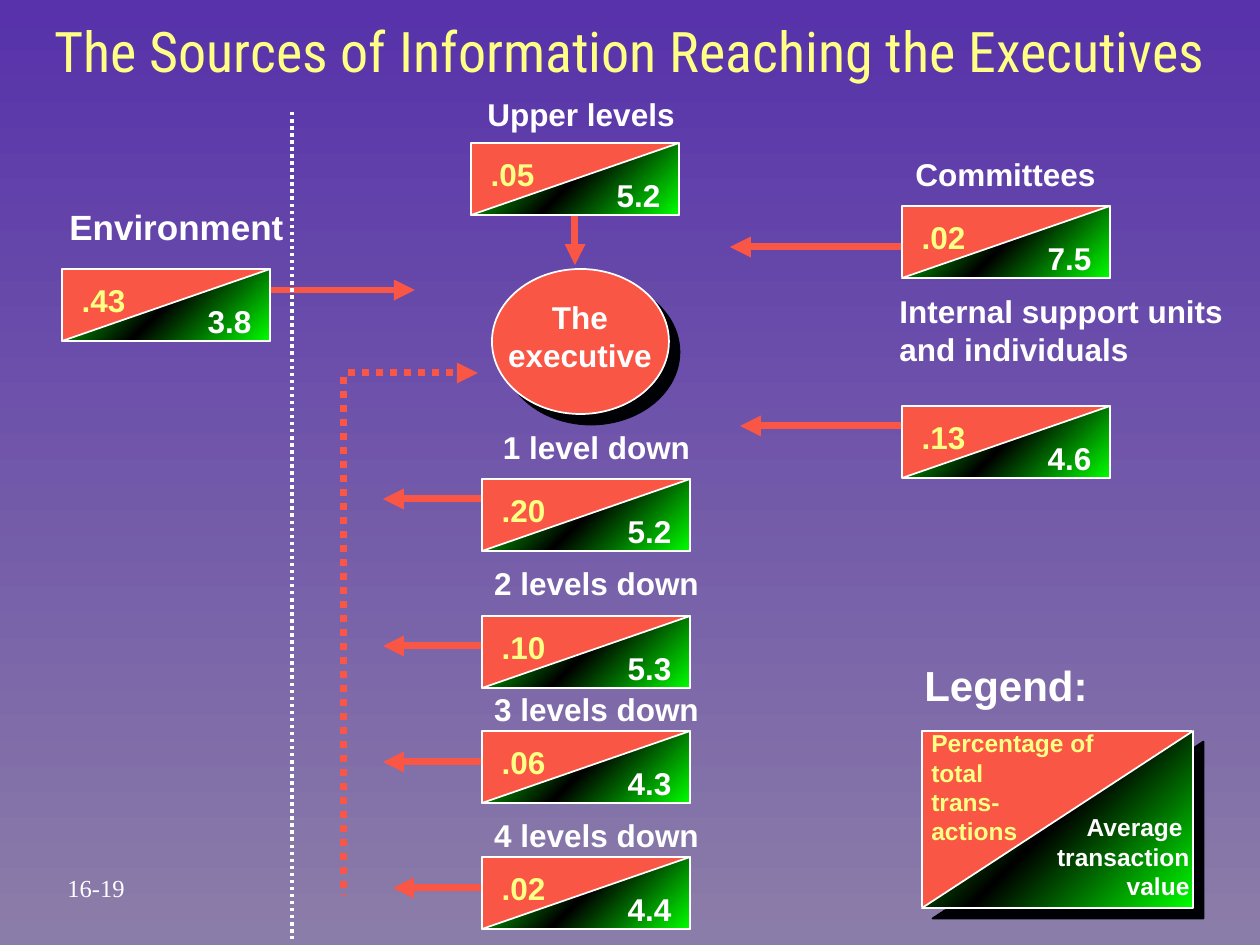
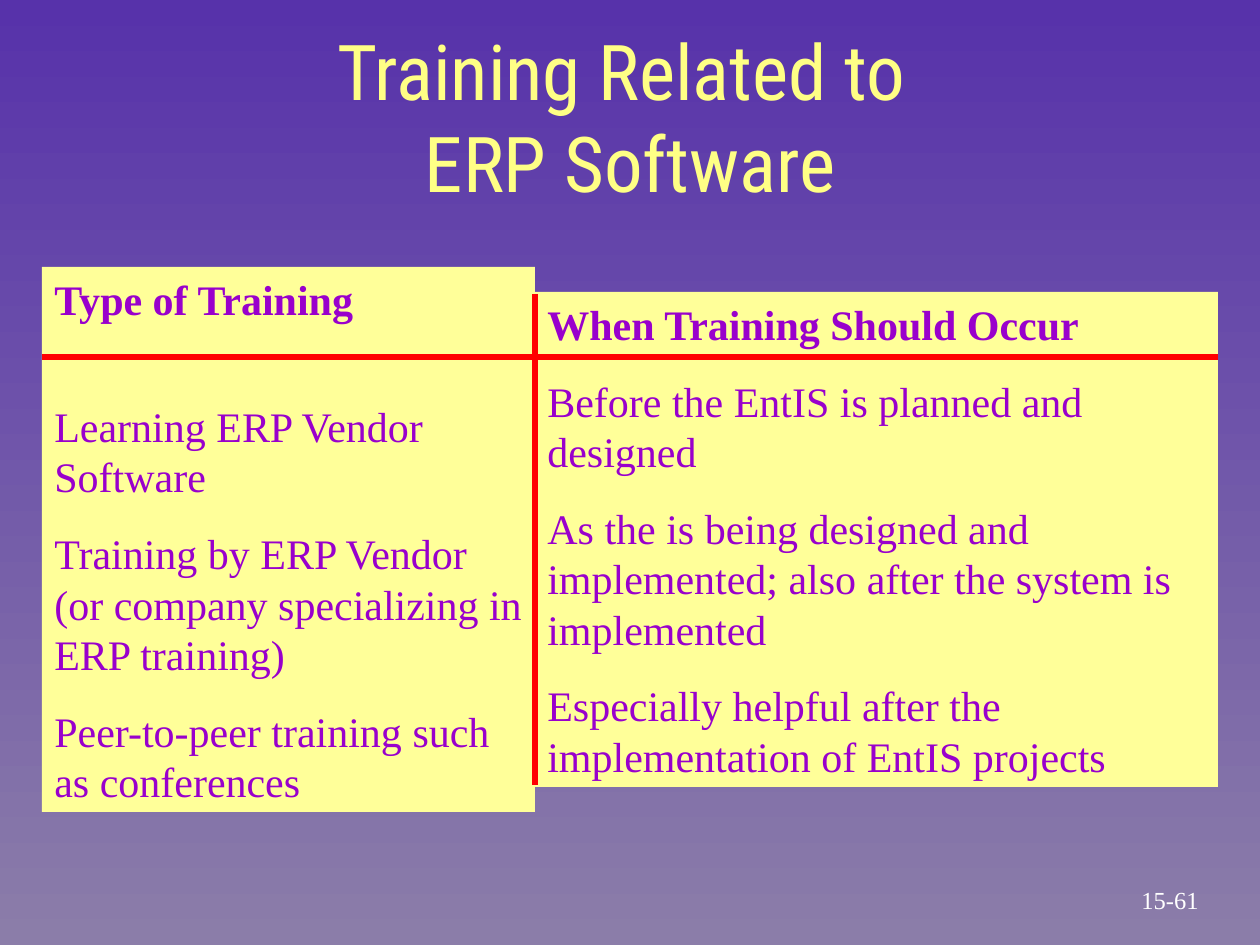
from copy import deepcopy
from dataclasses import dataclass
from typing import NamedTuple

from lxml.etree import SubElement
from pptx import Presentation
from pptx.dml.color import RGBColor
from pptx.enum.dml import MSO_LINE
from pptx.enum.shapes import MSO_CONNECTOR, MSO_SHAPE
from pptx.enum.text import MSO_ANCHOR, MSO_AUTO_SIZE, PP_ALIGN
from pptx.oxml.ns import qn
from pptx.util import Emu, Pt

PX = 914400 / 126


@dataclass(frozen=True)
class Theme:
    backdrop: tuple = ("5732AA", "8B7DA9")
    split_gradient: tuple = ("00FF00", "000000", "00FF00")
    coral: str = "F95645"
    yellow: str = "FFFF85"
    white: str = "FFFFFF"
    shadow: str = "000105"
    panel: str = "FFFF99"
    purple: str = "9900CC"
    red: str = "FF0000"
    title_font: str = "Roboto Condensed"
    label_font: str = "Arial"
    body_font: str = "Times New Roman"
    wide_title: int = 32
    title: int = 44
    body: int = 24
    environment: int = 20
    label: int = 18
    small: int = 14


THEME = Theme()


class Box(NamedTuple):
    x: int
    y: int
    w: int
    h: int


class Label(NamedTuple):
    text: str
    box: Box
    size: int = THEME.label
    color: str = THEME.white
    align: PP_ALIGN = PP_ALIGN.CENTER
    wrap: bool = False


class Card(NamedTuple):
    x: int
    y: int
    share: str
    value: str


class Line(NamedTuple):
    start: tuple
    end: tuple
    color: str = THEME.coral
    width: int = 4
    arrow: bool = True
    dotted: bool = False


class Column(NamedTuple):
    box: Box
    heading: str
    entries: tuple
    first_gap: int


CARD_W, CARD_H = 208, 72

UPPER = Card(471, 143, ".05", "5.2")
CARDS = [
    Card(62, 269, ".43", "3.8"),
    Card(482, 479, ".20", "5.2"),
    Card(482, 616, ".10", "5.3"),
    Card(482, 731, ".06", "4.3"),
    Card(482, 857, ".02", "4.4"),
    Card(902, 206, ".02", "7.5"),
    Card(902, 406, ".13", "4.6"),
]

ARROWS = [
    Line((568, 499), (383, 499)),
    Line((568, 646), (383, 646)),
    Line((568, 762), (383, 762)),
    Line((578, 888), (393, 888)),
    Line((925, 426), (740, 426)),
    Line((915, 247), (730, 247)),
    Line((263, 290), (415, 290)),
]
DOTTED_LINES = [
    Line((292, 112), (292, 939), THEME.white, 2, arrow=False, dotted=True),
    Line((344, 377), (344, 895), arrow=False, dotted=True),
    Line((348, 373), (478, 373), dotted=True),
]

EXECUTIVE = Box(492, 269, 177, 145)
LEGEND = Box(922, 731, 271, 177)
LABELS = [
    Label("Environment", Box(47, 199, 259, 54), THEME.environment),
    Label("Upper levels", Box(470, 89, 222, 50), wrap=True),
    Label("The executive", Box(480, 292, 200, 88), wrap=True),
    Label("Committees", Box(888, 149, 235, 50)),
    Label("Internal support units\nand individuals", Box(887, 286, 370, 88),
          align=PP_ALIGN.LEFT),
    Label("1 level down", Box(476, 422, 241, 50)),
    Label("2 levels down", Box(466, 558, 261, 50)),
    Label("3 levels down", Box(466, 684, 261, 50)),
    Label("4 levels down", Box(466, 810, 261, 50)),
    Label("Legend:", Box(896, 653, 220, 63), THEME.body),
    Label("Percentage of total\ntrans-\nactions", Box(919, 722, 204, 130),
          THEME.small, THEME.yellow, PP_ALIGN.LEFT, True),
    Label("Average \ntransaction\nvalue", Box(1024, 806, 178, 101),
          THEME.small, align=PP_ALIGN.RIGHT),
]

COLUMNS = [
    Column(Box(42, 267, 493, 545), "Type of Training", (
        "Learning ERP Vendor Software",
        "Training by ERP Vendor (or company specializing in ERP training)",
        "Peer-to-peer training such as conferences",
    ), 44),
    Column(Box(535, 292, 683, 495), "When Training Should Occur", (
        "Before the EntIS is planned and designed",
        "As the is being designed and implemented; also after the system is implemented",
        "Especially helpful after the implementation of EntIS projects",
    ), 15),
]
RULES = [
    Line((42, 357), (1218, 357), THEME.red, 3, arrow=False),
    Line((535, 294), (535, 785), THEME.red, 3, arrow=False),
]


def emu(*lengths: float) -> list:
    return [Emu(round(length * PX)) for length in lengths]


def rgb(color: str) -> RGBColor:
    return RGBColor.from_string(color)


def style_paragraph(paragraph, text: str, *, size: int, color: str, font: str,
                    bold: bool = False, align=PP_ALIGN.LEFT, before: int = 0) -> None:
    paragraph.text = text
    paragraph.alignment = align
    if before:
        paragraph.space_before = Pt(before)
    for run in paragraph.runs:
        run.font.size = Pt(size)
        run.font.name = font
        run.font.bold = bold
        run.font.color.rgb = rgb(color)


def add_text(shapes, text: str, box: Box, *, wrap: bool = False,
             anchor=MSO_ANCHOR.TOP, **text_format) -> None:
    frame = shapes.add_textbox(*emu(*box)).text_frame
    frame.word_wrap = wrap
    frame.auto_size = MSO_AUTO_SIZE.SHAPE_TO_FIT_TEXT
    frame.vertical_anchor = anchor
    for index, line in enumerate(text.split("\n")):
        paragraph = frame.add_paragraph() if index else frame.paragraphs[0]
        style_paragraph(paragraph, line, **text_format)


def add_preset(shapes, preset, box: Box, fill: str, outline: str = ""):
    shape = shapes.add_shape(preset, *emu(*box))
    shape.shadow.inherit = False
    shape.fill.solid()
    shape.fill.fore_color.rgb = rgb(fill)
    if outline:
        shape.line.color.rgb = rgb(outline)
        shape.line.width = Pt(1)
    else:
        shape.line.fill.background()
    return shape


def add_gradient(fill, element, colors: tuple, angle: int) -> None:
    """Spread the colours evenly; the angle runs counter-clockwise."""
    fill.gradient()
    fill.gradient_angle = angle
    stop_list = element.find(".//" + qn("a:gsLst"))
    while len(stop_list) < len(colors):
        stop_list.append(deepcopy(stop_list[0]))
    for index, (stop, color) in enumerate(zip(fill.gradient_stops, colors)):
        stop.color.rgb = rgb(color)
        stop.position = index / (len(colors) - 1)


def add_shadow(shape) -> None:
    effects = shape._element.spPr.find(qn("a:effectLst"))
    shadow = SubElement(effects, qn("a:outerShdw"), blurRad="0", dist=str(Pt(8.5)),
                        dir="2700000", algn="ctr", rotWithShape="0")
    SubElement(shadow, qn("a:srgbClr"), val=THEME.shadow)


def add_line(shapes, line: Line):
    connector = shapes.add_connector(MSO_CONNECTOR.STRAIGHT,
                                     *emu(*line.start, *line.end))
    connector.line.color.rgb = rgb(line.color)
    connector.line.width = Pt(line.width)
    if line.dotted:
        connector.line.dash_style = MSO_LINE.ROUND_DOT
    if line.arrow:
        SubElement(connector.line._get_or_add_ln(), qn("a:tailEnd"), type="triangle")
    SubElement(connector._element.spPr, qn("a:effectLst"))
    return connector


def add_half(shapes, box: Box):
    """Cover the lower right half of a box with a turned right triangle."""
    inset = (box.w - box.h) / 2
    half = add_preset(shapes, MSO_SHAPE.RIGHT_TRIANGLE,
                      Box(box.x + inset, box.y - inset, box.h, box.w),
                      THEME.coral, THEME.white)
    half.rotation = 270
    # The gradient turns with the triangle, so it ends at the lower right corner
    add_gradient(half.fill, half._element, THEME.split_gradient, 45)
    return half


def add_card(slide, card: Card):
    shapes = slide.shapes.add_group_shape().shapes
    box = Box(card.x, card.y, CARD_W, CARD_H)
    base = add_preset(shapes, MSO_SHAPE.RECTANGLE, box, THEME.coral, THEME.white)
    figure = dict(size=THEME.label, font=THEME.label_font, bold=True,
                  align=PP_ALIGN.CENTER)
    add_text(shapes, card.share, Box(card.x + 2, card.y + 6, 79, 50),
             color=THEME.yellow, **figure)
    add_half(shapes, box)
    add_text(shapes, card.value, Box(card.x + 132, card.y + 27, 71, 50),
             color=THEME.white, wrap=True, **figure)
    return base


def add_slide(deck, title: str, box: Box, size: int, anchor,
              page: str, page_box: Box):
    """Start a slide with its title and page number."""
    slide = deck.slides.add_slide(deck.slide_layouts.get_by_name("Title Only"))
    heading = slide.shapes.title
    heading.left, heading.top, heading.width, heading.height = emu(*box)
    frame = heading.text_frame
    frame.word_wrap = True
    frame.auto_size = MSO_AUTO_SIZE.NONE
    frame.vertical_anchor = anchor
    style_paragraph(frame.paragraphs[0], title, size=size, color=THEME.yellow,
                    font=THEME.title_font, align=PP_ALIGN.CENTER)
    add_text(slide.shapes, page, page_box, anchor=MSO_ANCHOR.MIDDLE, size=THEME.small,
             color=THEME.white, font=THEME.body_font, align=PP_ALIGN.CENTER)
    return slide


def build_sources(deck) -> None:
    slide = add_slide(deck, "The Sources of Information Reaching the Executives",
                      Box(0, 10, 1261, 146), THEME.wide_title, MSO_ANCHOR.TOP,
                      "16-19", Box(16, 866, 160, 43))
    shapes = slide.shapes

    # Arrows lie behind the cards
    upper_arrow = add_line(shapes, Line((575, 215), (575, 265)))
    for line in ARROWS + DOTTED_LINES:
        add_line(shapes, line)

    # Executive, cards and legend
    add_shadow(add_preset(shapes, MSO_SHAPE.OVAL, EXECUTIVE, THEME.coral, THEME.white))
    upper_arrow.begin_connect(add_card(slide, UPPER), 2)
    for card in CARDS:
        add_card(slide, card)
    add_preset(shapes, MSO_SHAPE.RECTANGLE, LEGEND, THEME.coral, THEME.white)
    add_shadow(add_half(shapes, LEGEND))

    for label in LABELS:
        add_text(shapes, label.text, label.box, wrap=label.wrap, size=label.size,
                 color=label.color, font=THEME.label_font, bold=True, align=label.align)


def build_training(deck) -> None:
    slide = add_slide(deck, "Training Related to \nERP Software",
                      Box(95, 32, 1071, 168), THEME.title, MSO_ANCHOR.MIDDLE,
                      "15-61", Box(1090, 878, 160, 43))

    # Two text panels, then the red rules over them
    for column in COLUMNS:
        panel = add_preset(slide.shapes, MSO_SHAPE.RECTANGLE, column.box, THEME.panel)
        frame = panel.text_frame
        frame.word_wrap = True
        frame.vertical_anchor = MSO_ANCHOR.MIDDLE
        body = dict(size=THEME.body, color=THEME.purple, font=THEME.body_font)
        style_paragraph(frame.paragraphs[0], column.heading, bold=True, **body)
        for index, entry in enumerate(column.entries):
            style_paragraph(frame.add_paragraph(), entry,
                            before=15 if index else column.first_gap, **body)
    for rule in RULES:
        add_line(slide.shapes, rule)


def main() -> None:
    deck = Presentation()
    deck.slide_width, deck.slide_height = emu(1260, 945)
    master = deck.slide_master
    add_gradient(master.background.fill, master._element, THEME.backdrop, 270)
    build_sources(deck)
    build_training(deck)
    deck.save("out.pptx")


if __name__ == "__main__":
    main()
